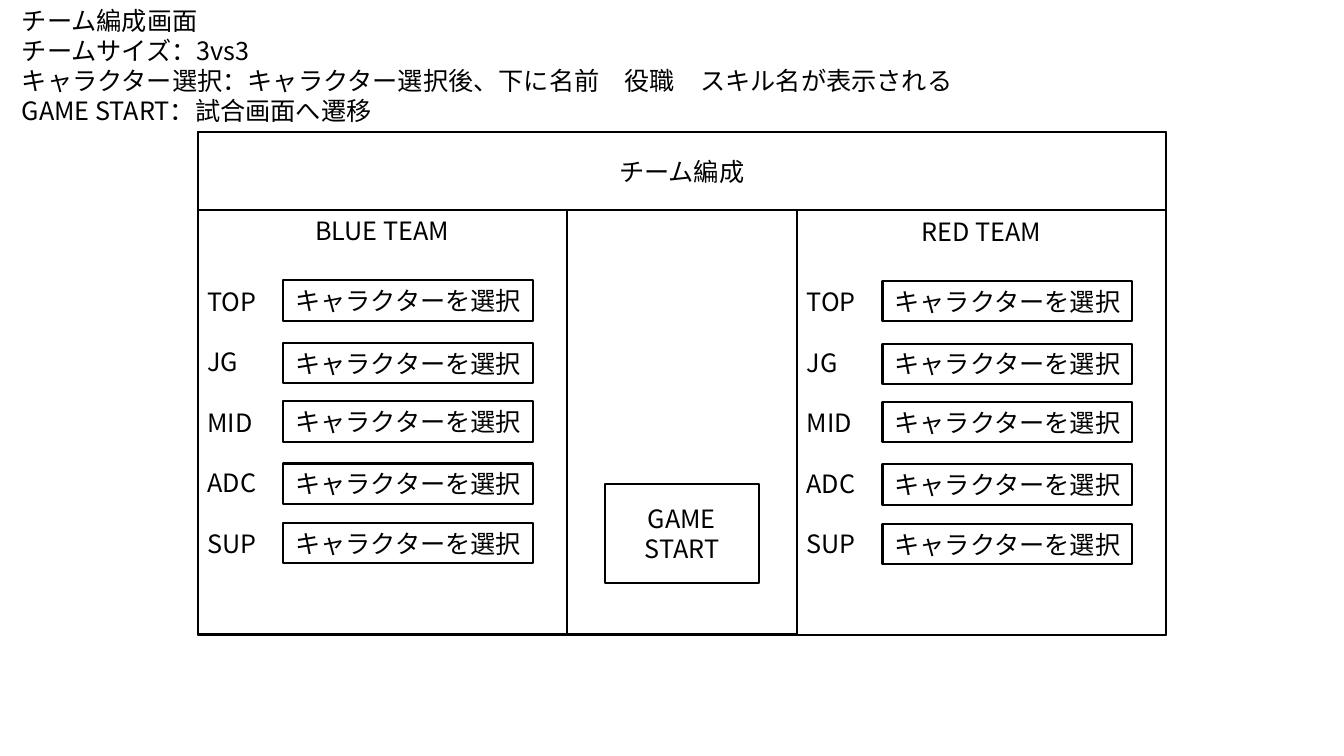
from lxml import etree
from pptx import Presentation
from pptx.dml.color import RGBColor
from pptx.enum.shapes import MSO_SHAPE
from pptx.enum.text import MSO_ANCHOR, MSO_AUTO_SIZE, PP_ALIGN
from pptx.oxml.ns import qn
from pptx.util import Cm, Pt

FONT = "Noto Sans CJK JP"
BLACK, WHITE = "000000", "FFFFFF"
POSITIONS = ["TOP", "JG", "MID", "ADC", "SUP"]
BUTTON_TOPS = [7.06, 8.64, 10.11, 11.68, 13.18]

LEFT, TOP, WIDTH = 4.98, 3.33, 24.4
HEADER_H, PANEL_W, PANEL_H = 1.96, 9.3, 10.7
PANEL_TOP = TOP + HEADER_H


def write(sp, lines, align=PP_ALIGN.CENTER, anchor=MSO_ANCHOR.MIDDLE, gap=0):
    tf = sp.text_frame
    tf.word_wrap = True
    tf.auto_size = MSO_AUTO_SIZE.NONE
    tf.vertical_anchor = anchor
    for i, line in enumerate(lines):
        p = tf.paragraphs[0] if i == 0 else tf.add_paragraph()
        p.alignment = align
        p.space_before = Pt(gap if i else 0)
        r = p.add_run()
        r.text = line
        r.font.size = Pt(18)
        r.font.name = FONT
        r.font.color.rgb = RGBColor.from_string(BLACK)
        etree.SubElement(r.font._element, qn("a:ea")).set("typeface", FONT)


def add_box(x, y, w, h):
    sp = s.shapes.add_shape(MSO_SHAPE.RECTANGLE, Cm(x), Cm(y), Cm(w), Cm(h))
    sp.shadow.inherit = False
    sp.fill.solid()
    sp.fill.fore_color.rgb = RGBColor.from_string(WHITE)
    sp.line.color.rgb = RGBColor.from_string(BLACK)
    sp.line.width = Pt(1.5)
    return sp


prs = Presentation()
prs.slide_width, prs.slide_height = Cm(33.87), Cm(19.05)
s = prs.slides.add_slide(prs.slide_layouts[1])

# Screen name and its description
title, body = s.placeholders
for sp, y, h, lines in [
    (title, 0, 1.02, ["チーム編成画面"]),
    (body, 0.76, 2.57, [
        "チームサイズ：3vs3",
        "キャラクター選択：キャラクター選択後、下に名前　役職　スキル名が表示される",
        "GAME START：試合画面へ遷移",
    ]),
]:
    sp.left, sp.top, sp.width, sp.height = Cm(0.3), Cm(y), Cm(26.4), Cm(h)
    write(sp, lines, PP_ALIGN.LEFT, MSO_ANCHOR.TOP)
for p in body.text_frame.paragraphs:
    pPr = p._p.get_or_add_pPr()
    pPr.set("marL", "0")
    pPr.set("indent", "0")
    etree.SubElement(pPr, qn("a:buNone"))

# Screen frame and header
add_box(LEFT, TOP, WIDTH, HEADER_H + PANEL_H)
write(add_box(LEFT, TOP, WIDTH, HEADER_H), ["チーム編成"])

# Team panels with a character button for each position
for x, dy, team in [(LEFT, 0, "BLUE TEAM"),
                    (LEFT + WIDTH - PANEL_W, 0.02, "RED TEAM")]:
    panel = add_box(x, PANEL_TOP, PANEL_W, PANEL_H + dy)
    write(panel, POSITIONS, PP_ALIGN.LEFT, gap=21.6)
    name = s.shapes.add_textbox(Cm(x), Cm(PANEL_TOP + 0.02 + dy), Cm(PANEL_W), Cm(1.02))
    write(name, [team], anchor=MSO_ANCHOR.TOP)
    for y in BUTTON_TOPS:
        write(add_box(x + 2.16, y + dy, 6.3, 1.02), ["キャラクターを選択"])

# Start button
write(add_box(15.24, 12.19, 3.89, 2.51), ["GAME", "START"])

prs.save("out.pptx")
